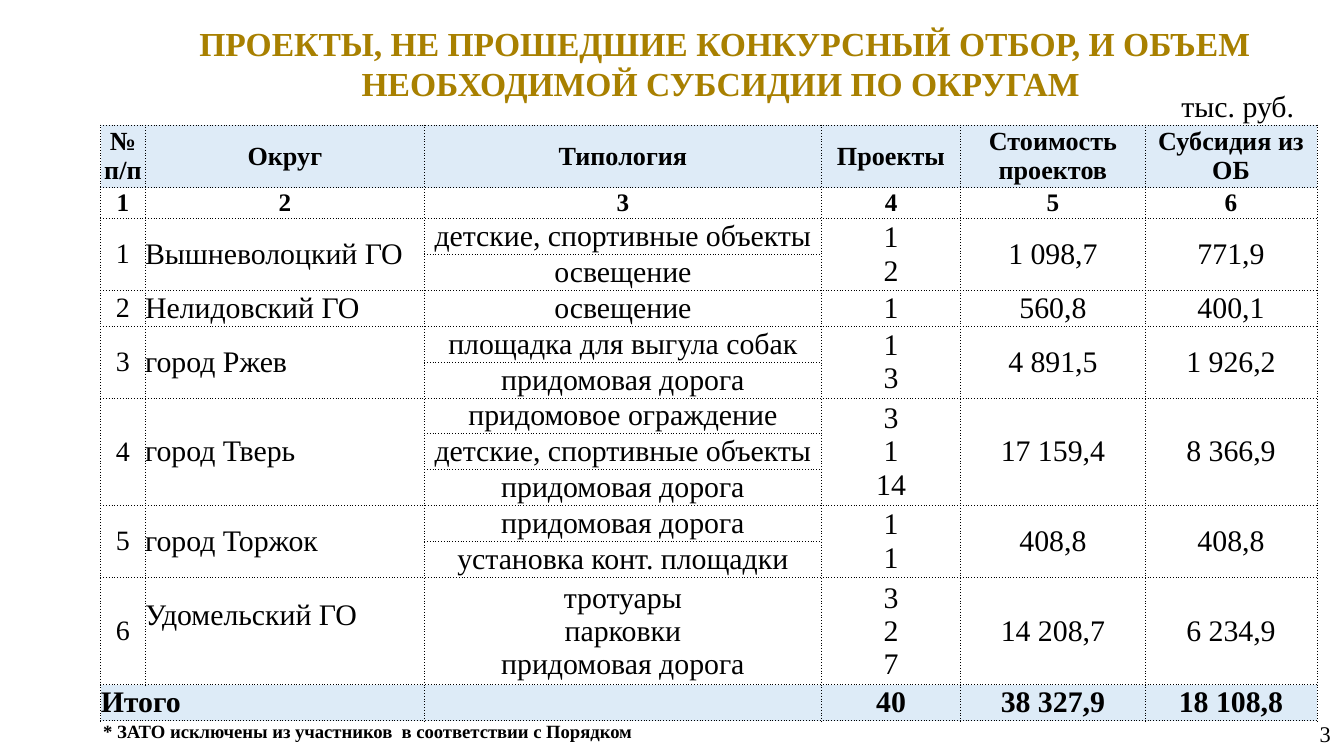
import pptx
import pptx.util
import pptx.dml.color
import pptx.enum.shapes
import pptx.enum.text
import lxml.etree
from pptx.oxml.ns import qn

Inches, Pt = pptx.util.Inches, pptx.util.Pt
RGBColor = pptx.dml.color.RGBColor
ALIGN, ANCHOR = pptx.enum.text.PP_ALIGN, pptx.enum.text.MSO_ANCHOR

GOLD = RGBColor(0xA8, 0x80, 0x00)
BLACK = RGBColor(0, 0, 0)
WHITE = RGBColor(255, 255, 255)
HEAD_BLUE = RGBColor(0xDE, 0xEB, 0xF7)
TOTAL_BLUE = RGBColor(0xDD, 0xEB, 0xF7)
FONT = "Times New Roman"


def write(frame, text, size, align, bold=False, color=BLACK):
    frame.text = text
    frame.word_wrap = True
    for paragraph in frame.paragraphs:
        paragraph.alignment = align
        for run in paragraph.runs:
            run.font.name, run.font.size = FONT, Pt(size)
            run.font.bold, run.font.color.rgb = bold, color
        if not paragraph.runs:
            # An empty cell must not stretch its row
            end = lxml.etree.SubElement(paragraph._p, qn("a:endParaRPr"))
            end.set("sz", str(size * 100))


def dot_borders(cell):
    properties = cell._tc.get_or_add_tcPr()
    for index, side in enumerate(("a:lnL", "a:lnR", "a:lnT", "a:lnB")):
        border = lxml.etree.Element(qn(side), w=str(Pt(0.5)))
        fill = lxml.etree.SubElement(border, qn("a:solidFill"))
        lxml.etree.SubElement(fill, qn("a:srgbClr"), val=str(BLACK))
        lxml.etree.SubElement(border, qn("a:prstDash"), val="sysDot")
        properties.insert(index, border)


# Widescreen slide, 16:9
deck = pptx.Presentation()
deck.slide_width = Inches(10)
deck.slide_height = deck.slide_width * 9 // 16
slide = deck.slides.add_slide(deck.slide_layouts[5])

# Title
title = slide.shapes.title
title.left, title.top = Inches(0.91), Inches(0.12)
title.width, title.height = Inches(8.97), Inches(0.71)
write(title.text_frame,
      "ПРОЕКТЫ, НЕ ПРОШЕДШИЕ КОНКУРСНЫЙ ОТБОР, И ОБЪЕМ НЕОБХОДИМОЙ СУБСИДИИ ПО ОКРУГАМ ",
      18, ALIGN.CENTER, True, GOLD)
title.text_frame.vertical_anchor = ANCHOR.TOP
title.text_frame.auto_size = pptx.enum.text.MSO_AUTO_SIZE.NONE

# Unit of measure
unit = slide.shapes.add_shape(pptx.enum.shapes.MSO_SHAPE.RECTANGLE,
                              Inches(8.62), Inches(0.62), Inches(1.18), Inches(0.33))
unit.shadow.inherit = False
unit.fill.solid()
unit.fill.fore_color.rgb = WHITE
unit.line.color.rgb = WHITE
unit.line.width = Pt(1)
write(unit.text_frame, "тыс. руб.", 16, ALIGN.CENTER)
unit.text_frame.vertical_anchor = ANCHOR.MIDDLE

# Page number
page = slide.shapes.add_textbox(Inches(7.75), Inches(5.31), Inches(2.25), Inches(0.3))
write(page.text_frame, "3", 12, ALIGN.RIGHT)
page.text_frame.vertical_anchor = ANCHOR.MIDDLE

# Table content: district, its typologies, project counts, cost, subsidy
headings = ["№ п/п", "Округ", "Типология", "Проекты", "Стоимость проектов", "Субсидия из ОБ"]
districts = [
    ("Вышневолоцкий ГО", ["детские, спортивные объекты", "освещение"], "1\n2", "1 098,7", "771,9"),
    ("Нелидовский ГО", ["освещение"], "1", "560,8", "400,1"),
    ("город Ржев", ["площадка для выгула собак", "придомовая дорога"], "1\n3", "4 891,5", "1 926,2"),
    ("город Тверь", ["придомовое ограждение", "детские, спортивные объекты", "придомовая дорога"],
     "3\n1\n14", "17 159,4", "8 366,9"),
    ("город Торжок", ["придомовая дорога", "установка конт. площадки"], "1\n1", "408,8", "408,8"),
    ("Удомельский ГО", ["тротуары\nпарковки\nпридомовая дорога"], "3\n2\n7", "14 208,7", "6 234,9"),
]
rows = [headings, [str(n) for n in range(1, 7)]]
merges = []
for number, (district, typologies, counts, cost, subsidy) in enumerate(districts, 1):
    first = len(rows)
    rows.append([str(number), district, typologies[0], counts, cost, subsidy])
    rows += [["", "", typology, "", "", ""] for typology in typologies[1:]]
    if len(typologies) > 1:
        merges += [(first, col, len(rows) - 1, col) for col in (0, 1, 3, 4, 5)]
rows.append(["Итого", "", "", "40", "38 327,9", "18 108,8"])
total = len(rows) - 1
merges.append((total, 0, total, 1))

# Table grid: row heights are multiples of one body row
column_widths = [0.33, 2.08, 2.95, 1.04, 1.37, 1.28]
row_shares = [1.72, 0.86] + [1] * 10 + [3, 1]
table_height = 4.42
table = slide.shapes.add_table(len(rows), len(headings), Inches(0.75), Inches(0.93),
                               Inches(sum(column_widths)), Inches(table_height)).table
table.first_row = table.horz_banding = False
for column, width in zip(table.columns, column_widths):
    column.width = Inches(width)
for row, share in zip(table.rows, row_shares):
    row.height = Inches(table_height * share / sum(row_shares))

# Table cells
for r, texts in enumerate(rows):
    for c, text in enumerate(texts):
        cell = table.cell(r, c)
        cell.margin_left = cell.margin_right = cell.margin_top = cell.margin_bottom = 0
        cell.vertical_anchor = ANCHOR.MIDDLE
        if r in (0, total):
            cell.fill.solid()
            cell.fill.fore_color.rgb = HEAD_BLUE if r == 0 else TOTAL_BLUE
        else:
            cell.fill.background()
        dot_borders(cell)
        size = {0: 14, 1: 13.5, total: 16}.get(r, 15 if c == 0 else 16)
        left = r > 1 and (c == 1 or r == total and c == 0)
        write(cell.text_frame, text, size, ALIGN.LEFT if left else ALIGN.CENTER,
              r in (0, 1, total))
for top, left, bottom, right in merges:
    table.cell(top, left).merge(table.cell(bottom, right))
# The last district's name sits above the middle of its row
table.cell(total - 1, 1).margin_bottom = Inches(0.24)

# Footnote
footnote = slide.shapes.add_textbox(Inches(0.67), Inches(5.31), Inches(9.17), Inches(0.27))
write(footnote.text_frame, "* ЗАТО исключены из участников  в соответствии с Порядком",
      10, ALIGN.LEFT, True)

deck.save("out.pptx")
